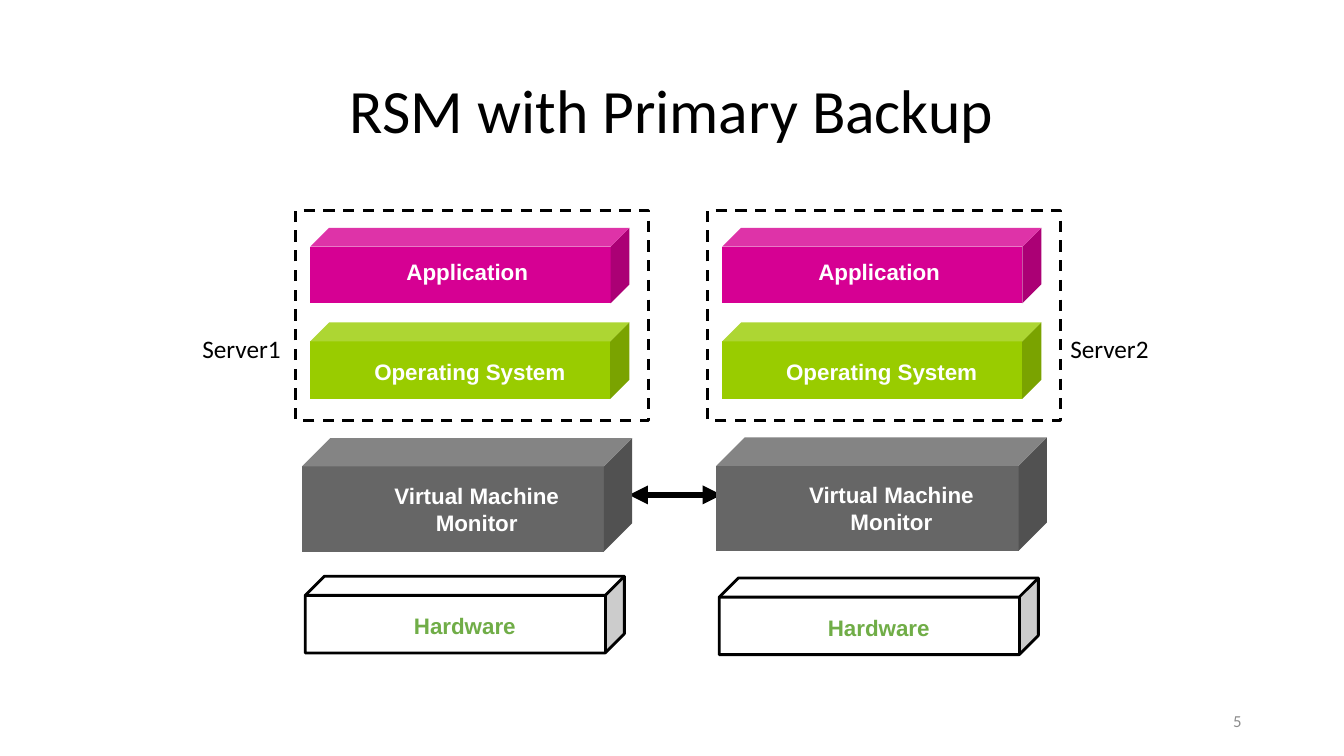
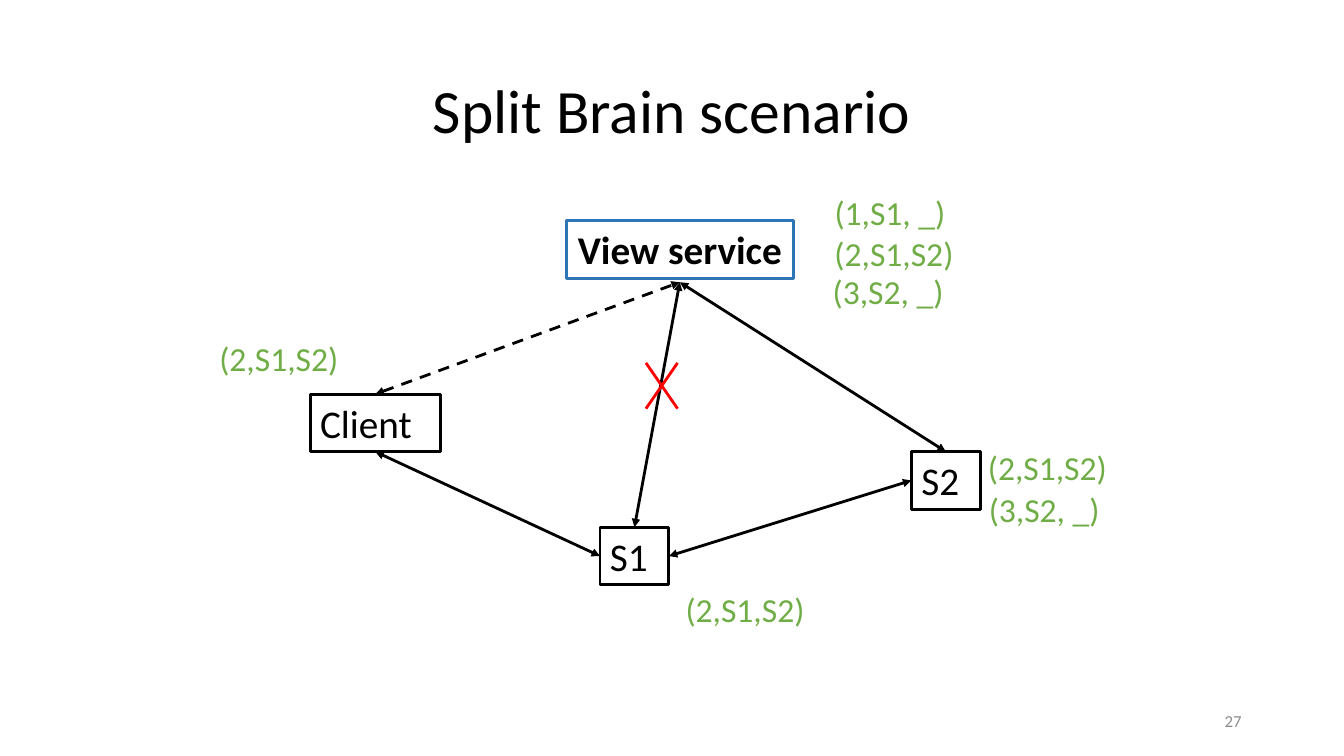
from pptx import Presentation
from pptx.dml.color import RGBColor
from pptx.enum.dml import MSO_LINE
from pptx.enum.shapes import MSO_CONNECTOR, MSO_SHAPE
from pptx.enum.text import MSO_ANCHOR, PP_ALIGN
from pptx.oxml.ns import qn
from pptx.util import Pt
from lxml import etree

BLACK = RGBColor(0x00, 0x00, 0x00)
WHITE = RGBColor(0xFF, 0xFF, 0xFF)
GREY = RGBColor(0x8C, 0x8C, 0x8C)
SLATE = RGBColor(0x66, 0x66, 0x66)
LIME = RGBColor(0x99, 0xCC, 0x00)
MAGENTA = RGBColor(0xD6, 0x00, 0x93)
GREEN = RGBColor(0x70, 0xAD, 0x47)
BLUE = RGBColor(0x2E, 0x75, 0xB6)
RED = RGBColor(0xFF, 0x00, 0x00)

RECTANGLE, CUBE = MSO_SHAPE.RECTANGLE, MSO_SHAPE.CUBE
STRAIGHT, DASH = MSO_CONNECTOR.STRAIGHT, MSO_LINE.DASH
LEFT, CENTER, RIGHT = PP_ALIGN.LEFT, PP_ALIGN.CENTER, PP_ALIGN.RIGHT
TOP, MIDDLE = MSO_ANCHOR.TOP, MSO_ANCHOR.MIDDLE


def write(shape, text, size, color=BLACK, font="Calibri", bold=False,
          align=LEFT, anchor=TOP, wrap=False):
    frame = shape.text_frame
    frame.text = text
    frame.word_wrap = wrap
    frame.vertical_anchor = anchor
    paragraph = frame.paragraphs[0]
    paragraph.alignment = align
    style = paragraph.runs[0].font
    style.size, style.name, style.bold = Pt(size), font, bold
    style.color.rgb = color
    return paragraph


def connect(slide, start, end, color=BLACK, width=2, dash=None, arrows=True):
    link = slide.shapes.add_connector(STRAIGHT, *map(Pt, start + end))
    link.line.color.rgb = color
    link.line.width = Pt(width)
    if dash:
        link.line.dash_style = dash
    if arrows:
        outline = link.line._get_or_add_ln()
        for tip in ("a:headEnd", "a:tailEnd"):
            etree.SubElement(outline, qn(tip), type="triangle")
    etree.SubElement(link._element.spPr, qn("a:effectLst"))


prs = Presentation()
prs.slide_width, prs.slide_height = Pt(960), Pt(540)

# Title and slide number
pages = []
for heading, number in [("RSM with Primary Backup", "5"), ("Split Brain scenario", "27")]:
    page = prs.slides.add_slide(prs.slide_layouts[6])
    title = page.shapes.add_textbox(Pt(66), Pt(28.8), Pt(828), Pt(104.4))
    write(title, heading, 44, align=CENTER, anchor=MIDDLE, wrap=True).line_spacing = 0.9
    footer = page.shapes.add_textbox(Pt(678), Pt(500.5), Pt(216), Pt(28.8))
    write(footer, number, 12, GREY, align=RIGHT, anchor=MIDDLE, wrap=True)
    pages.append(page)
servers, split_brain = pages

# Link between the two monitors, behind their cubes
connect(servers, (515.5, 353.5), (449.3, 353.5), width=4.5)

# Layers: text, fill, outline, ink, cube box, label box, step to the second server
layers = [
    ("Application", MAGENTA, None, WHITE,
     (221.6, 162.7, 228, 54), (280.8, 180.7, 106, 26.6), (294.2, 0)),
    ("Operating System", LIME, None, WHITE,
     (221.6, 230.2, 228, 54.8), (249.1, 252, 173, 26.6), (294.2, 0)),
    ("Virtual Machine Monitor", SLATE, None, WHITE,
     (215.6, 313, 236, 81), (269.2, 340.6, 142.6, 46), (296.2, -0.5)),
    ("Hardware", WHITE, BLACK, GREEN,
     (218, 411.6, 228, 54.8), (245.5, 433.6, 173, 26.6), (295.7, 1.2)),
]
for text, fill, outline, ink, cube_box, label_box, (step_x, step_y) in layers:
    for server in range(2):
        dx, dy = server * step_x, server * step_y
        left, top, width, height = cube_box
        cube = servers.shapes.add_shape(
            CUBE, Pt(left + dx), Pt(top + dy), Pt(width), Pt(height))
        cube.shadow.inherit = False
        cube.fill.solid()
        cube.fill.fore_color.rgb = fill
        if outline is None:
            cube.line.fill.background()
        else:
            cube.line.color.rgb = outline
            cube.line.width = Pt(2)
        left, top, width, height = label_box
        label = servers.shapes.add_textbox(
            Pt(left + dx), Pt(top + dy), Pt(width), Pt(height))
        write(label, text, 16, ink, "Arial", True, CENTER, wrap=True)

# Dashed server frames and their names
for name, frame_left, name_left in [("Server1", 211.2, 137.5), ("Server2", 505.5, 757.4)]:
    server_frame = servers.shapes.add_shape(
        RECTANGLE, Pt(frame_left), Pt(150.3), Pt(252), Pt(150))
    server_frame.shadow.inherit = False
    server_frame.fill.background()
    server_frame.line.color.rgb = BLACK
    server_frame.line.width = Pt(2)
    server_frame.line.dash_style = DASH
    server_name = servers.shapes.add_textbox(Pt(name_left), Pt(234.7), Pt(73.4), Pt(26.6))
    write(server_name, name, 18)

# Nodes of the split brain scenario
node_height = 41.2
nodes = {
    "Client": (221.6, 281.5, 93.2, BLACK),
    "S1": (428.6, 376.6, 49.2, BLACK),
    "S2": (651, 322.6, 49.2, BLACK),
    "View service": (404.6, 157.6, 162, BLUE),
}
ports = {}
for name, (left, top, width, border) in nodes.items():
    node = split_brain.shapes.add_shape(
        RECTANGLE, Pt(left), Pt(top), Pt(width), Pt(node_height))
    node.shadow.inherit = False
    node.fill.background()
    node.line.color.rgb = border
    node.line.width = Pt(2)
    is_service = name == "View service"
    write(node, name, 28, bold=is_service, align=CENTER if is_service else LEFT)
    middle_x, middle_y = left + width / 2, top + node_height / 2
    ports[name] = {"top": (middle_x, top), "bottom": (middle_x, top + node_height),
                   "left": (left, middle_y), "right": (left + width, middle_y)}

# Messages between the nodes
service_port = (485.6, 201.6)
connect(split_brain, ports["Client"]["bottom"], ports["S1"]["left"])
connect(split_brain, ports["S1"]["right"], ports["S2"]["left"])
connect(split_brain, ports["Client"]["top"], service_port, dash=DASH)
connect(split_brain, service_port, ports["S1"]["top"])
connect(split_brain, service_port, ports["S2"]["top"])

# Red cross on the broken link
for start_x, end_x in [(461.4, 484), (484, 461.4)]:
    connect(split_brain, (start_x, 259.2), (end_x, 291.9), RED, arrows=False)

# Views known to each node
views = [
    ("(1,S1, _)", 589, 133.4, 107), ("(2,S1,S2)", 589, 163, 117),
    ("(3,S2, _)", 587.7, 190.2, 107), ("(2,S1,S2)", 482.6, 417.4, 117),
    ("(2,S1,S2)", 698.6, 315.6, 117), ("(3,S2, _)", 699.2, 345.6, 107),
    ("(2,S1,S2)", 149.6, 237.9, 117),
]
for view, left, top, width in views:
    view_label = split_brain.shapes.add_textbox(Pt(left), Pt(top), Pt(width), Pt(36))
    write(view_label, view, 24, GREEN)

prs.save("out.pptx")
